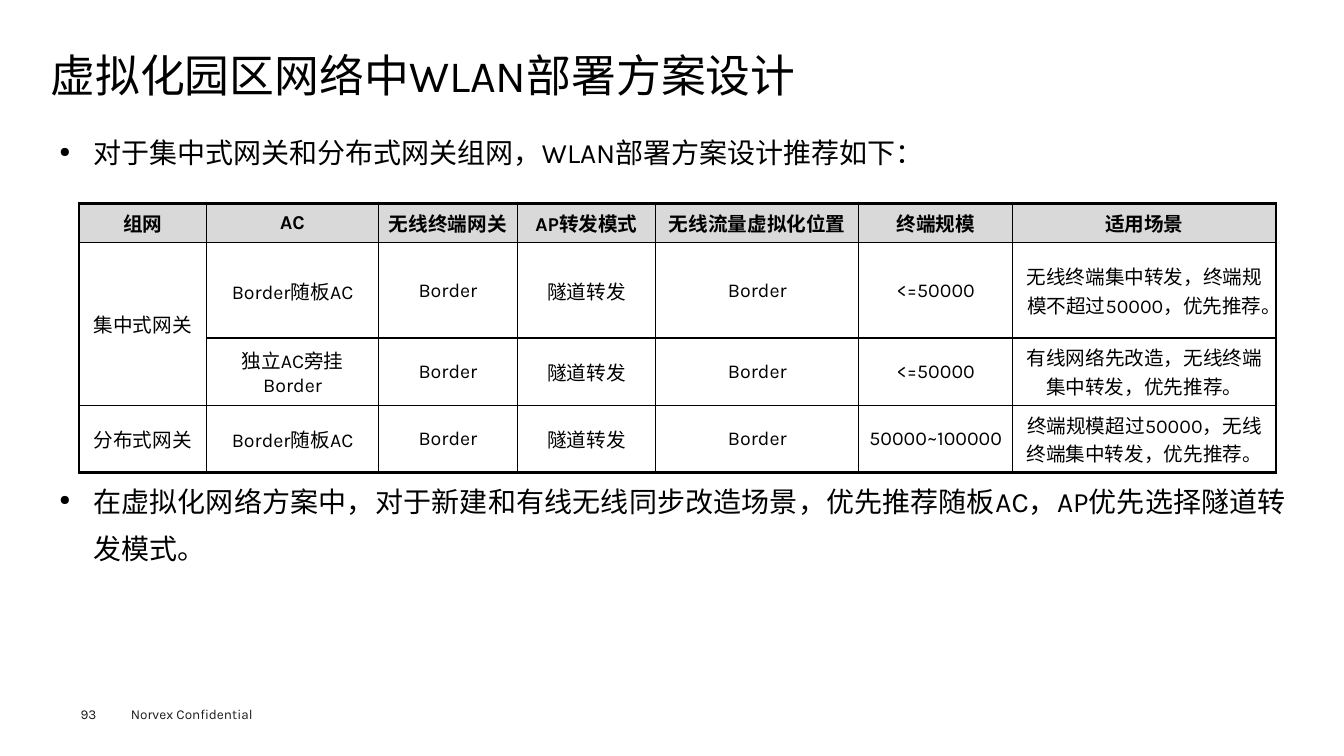
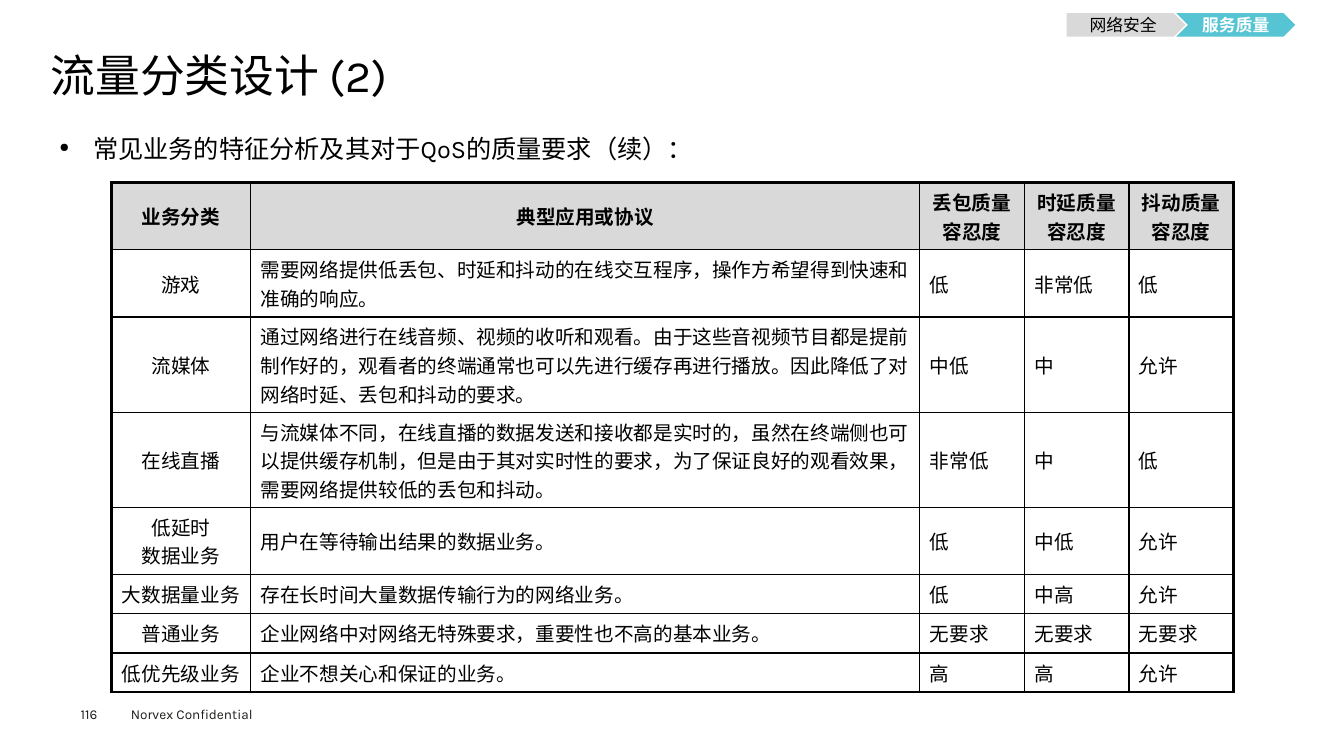
from lxml.etree import SubElement
from pptx import Presentation
from pptx.dml.color import RGBColor
from pptx.enum.shapes import MSO_SHAPE as SHAPE
from pptx.enum.text import MSO_ANCHOR as ANCHOR, MSO_AUTO_SIZE as AUTO_SIZE, PP_ALIGN as ALIGN
from pptx.oxml.ns import qn
from pptx.util import Pt

FONT = "Karla"
COLORS = {
    "text": "000000",
    "footer": "1D1D1B",
    "header": "D9D9D9",
    "inactive": "D9D9D9",
    "active": "56C4D2",
    "active_text": "FFFFFF",
}
LEFT, WIDTH = 36, 889
THIN, THICK = 1, 2.25

GATEWAY_ROWS = [
    ["组网", "AC", "无线终端网关", "AP转发模式", "无线流量虚拟化位置", "终端规模", "适用场景"],
    ["集中式网关", "Border随板AC", "Border", "隧道转发", "Border", "<=50000",
     "无线终端集中转发，终端规模不超过50000，优先推荐。"],
    ["", "独立AC旁挂Border", "Border", "隧道转发", "Border", "<=50000",
     "有线网络先改造，无线终端集中转发，优先推荐。"],
    ["分布式网关", "Border随板AC", "Border", "隧道转发", "Border", "50000~100000",
     "终端规模超过50000，无线终端集中转发，优先推荐。"],
]
SERVICE_ROWS = [
    ["业务分类", "典型应用或协议", "丢包质量\n容忍度", "时延质量\n容忍度", "抖动质量\n容忍度"],
    ["游戏", "需要网络提供低丢包、时延和抖动的在线交互程序，操作方希望得到快速和准确的响应。",
     "低", "非常低", "低"],
    ["流媒体", "通过网络进行在线音频、视频的收听和观看。由于这些音视频节目都是提前制作好的，"
     "观看者的终端通常也可以先进行缓存再进行播放。因此降低了对网络时延、丢包和抖动的要求。",
     "中低", "中", "允许"],
    ["在线直播", "与流媒体不同，在线直播的数据发送和接收都是实时的，虽然在终端侧也可以提供缓存机制，"
     "但是由于其对实时性的要求，为了保证良好的观看效果，需要网络提供较低的丢包和抖动。",
     "非常低", "中", "低"],
    ["低延时\n数据业务", "用户在等待输出结果的数据业务。", "低", "中低", "允许"],
    ["大数据量业务", "存在长时间大量数据传输行为的网络业务。", "低", "中高", "允许"],
    ["普通业务", "企业网络中对网络无特殊要求，重要性也不高的基本业务。", "无要求", "无要求", "无要求"],
    ["低优先级业务", "企业不想关心和保证的业务。", "高", "高", "允许"],
]


def rgb(name):
    return RGBColor.from_string(COLORS[name])


def style(paragraph, size, color="text", bold=False, align=ALIGN.LEFT):
    paragraph.alignment = align
    font = paragraph.font
    font.name, font.size, font.bold = FONT, Pt(size), bold
    font.color.rgb = rgb(color)


def set_insets(frame, horizontal=0, vertical=0):
    frame.margin_left = frame.margin_right = Pt(horizontal)
    frame.margin_top = frame.margin_bottom = Pt(vertical)


def add_text(slide, text, left, top, width, height, insets=(0, 0)):
    box = slide.shapes.add_textbox(Pt(left), Pt(top), Pt(width), Pt(height))
    frame = box.text_frame
    frame.word_wrap = True
    set_insets(frame, *insets)
    frame.text = text
    return frame.paragraphs[0]


def add_page(deck, heading, number):
    slide = deck.slides.add_slide(deck.slide_layouts[5])
    title = slide.shapes.title
    title.left, title.top, title.width, title.height = Pt(LEFT), Pt(35.3), Pt(WIDTH), Pt(38)
    frame = title.text_frame
    frame.text = heading
    frame.auto_size = AUTO_SIZE.NONE
    frame.vertical_anchor = ANCHOR.BOTTOM
    set_insets(frame)
    frame.paragraphs[0].line_spacing = 0.9
    style(frame.paragraphs[0], 32)
    style(add_text(slide, number, 57.6, 504, 40, 12), 9.7, "footer")
    style(add_text(slide, "Norvex Confidential", 86.4, 500.4, 115, 19, (7.2, 3.6)), 9.7, "footer")
    return slide


def add_bullet(slide, text, top, size, line_height, lines=1):
    paragraph = add_text(slide, text, LEFT, top, WIDTH, line_height * lines + 6, (6.5, 3))
    properties = paragraph._p.get_or_add_pPr()
    properties.set("marL", str(Pt(24)))
    properties.set("indent", str(-Pt(24)))
    SubElement(properties, qn("a:buSzPct"), val="50000")
    SubElement(properties, qn("a:buChar"), char="●")
    paragraph.line_spacing = Pt(line_height)
    style(paragraph, size, align=ALIGN.JUSTIFY)


def set_borders(cell, widths):
    properties = cell._tc.get_or_add_tcPr()
    for side, width in widths.items():
        line = SubElement(properties, qn(f"a:ln{side}"), w=str(Pt(width)))
        fill = SubElement(line, qn("a:solidFill"))
        SubElement(fill, qn("a:srgbClr"), val=COLORS["text"])


def add_grid(slide, rows, left, top, widths, line_counts, centered):
    heights = [8 + 20 * count for count in line_counts]
    table = slide.shapes.add_table(
        len(rows), len(widths), Pt(left), Pt(top), Pt(sum(widths)), Pt(sum(heights))
    ).table
    table.first_row = table.horz_banding = False
    for column, width in zip(table.columns, widths):
        column.width = Pt(width)
    last_row, last_column = len(rows) - 1, len(widths) - 1
    for r, texts in enumerate(rows):
        table.rows[r].height = Pt(heights[r])
        for c, text in enumerate(texts):
            cell = table.cell(r, c)
            cell.text = text
            cell.vertical_anchor = ANCHOR.MIDDLE
            edges = {"L": c == 0, "R": c == last_column, "T": r == 0, "B": r == last_row}
            set_borders(cell, {side: THICK if outer else THIN for side, outer in edges.items()})
            if r == 0:
                cell.fill.solid()
                cell.fill.fore_color.rgb = rgb("header")
            else:
                cell.fill.background()
            align = ALIGN.CENTER if r == 0 or c in centered else ALIGN.LEFT
            for paragraph in cell.text_frame.paragraphs:
                style(paragraph, 14, bold=r == 0, align=align)
    return table


def add_step(slide, text, kind, left, fill, color, bold):
    step = slide.shapes.add_shape(kind, Pt(left), Pt(9.4), Pt(85), Pt(16.8))
    step.shadow.inherit = False
    step.fill.solid()
    step.fill.fore_color.rgb = rgb(fill)
    step.line.fill.background()
    frame = step.text_frame
    set_insets(frame)
    frame.vertical_anchor = ANCHOR.MIDDLE
    frame.text = text
    style(frame.paragraphs[0], 12, color, bold, ALIGN.CENTER)


def add_gateway_page(deck):
    slide = add_page(deck, "虚拟化园区网络中WLAN部署方案设计", "93")
    add_bullet(slide, "对于集中式网关和分布式网关组网，WLAN部署方案设计推荐如下：", 84.5, 20, 33.6)
    widths = [91, 123, 99, 99, 145, 110, 188]
    table = add_grid(slide, GATEWAY_ROWS, 56.5, 145.5, widths, [1, 3, 2, 2], range(len(widths)))
    table.cell(1, 0).merge(table.cell(2, 0))
    add_bullet(
        slide,
        "在虚拟化网络方案中，对于新建和有线无线同步改造场景，优先推荐随板AC，AP优先选择隧道转发模式。",
        333.2, 20, 33.6, lines=2,
    )


def add_service_page(deck):
    slide = add_page(deck, "流量分类设计 (2)", "116")
    add_bullet(slide, "常见业务的特征分析及其对于QoS的质量要求（续）：", 84, 18, 30)
    add_grid(slide, SERVICE_ROWS, 79.5, 130.5, [99.5, 478, 74.7, 74.7, 74.7],
             [2, 2, 3, 3, 2, 1, 1, 1], [0])
    add_step(slide, "网络安全", SHAPE.PENTAGON, 761.8, "inactive", "text", False)
    add_step(slide, "服务质量", SHAPE.CHEVRON, 840.2, "active", "active_text", True)


def main():
    deck = Presentation()
    deck.slide_width, deck.slide_height = Pt(960), Pt(540)
    add_gateway_page(deck)
    add_service_page(deck)
    deck.save("out.pptx")


if __name__ == "__main__":
    main()
